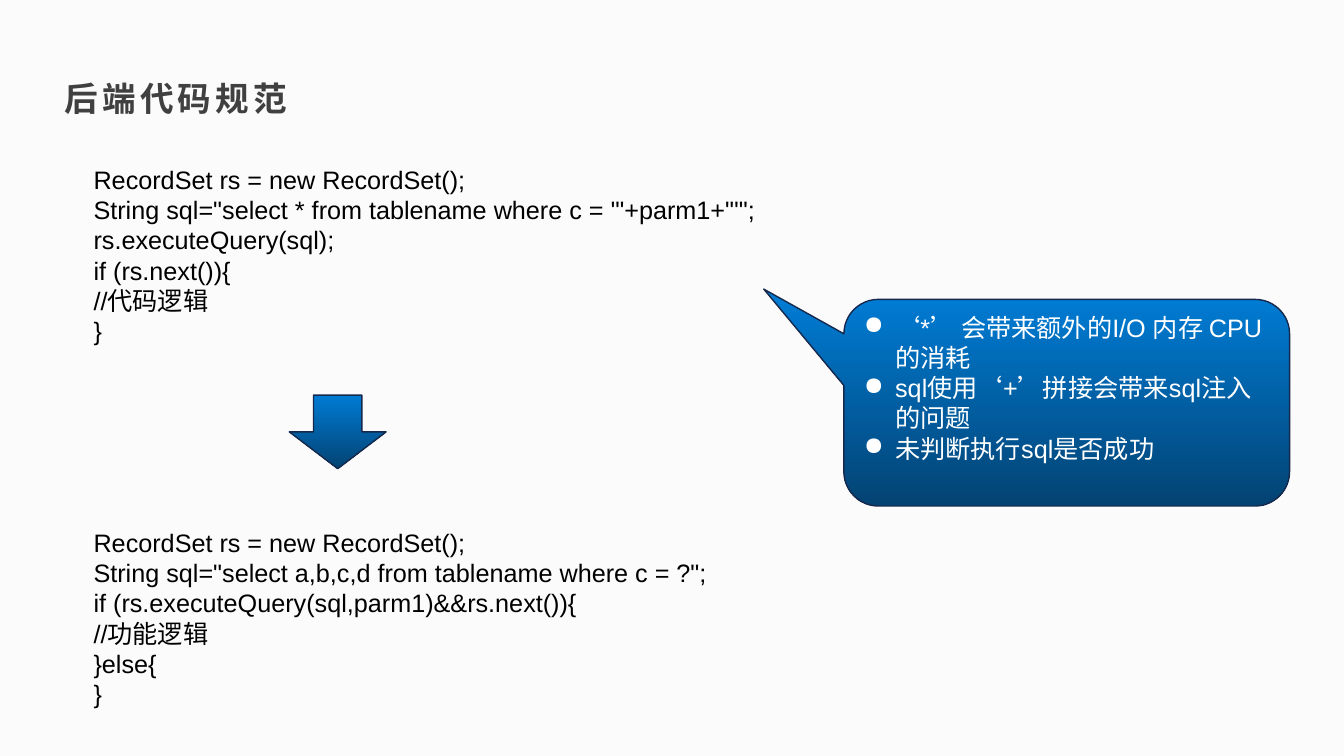
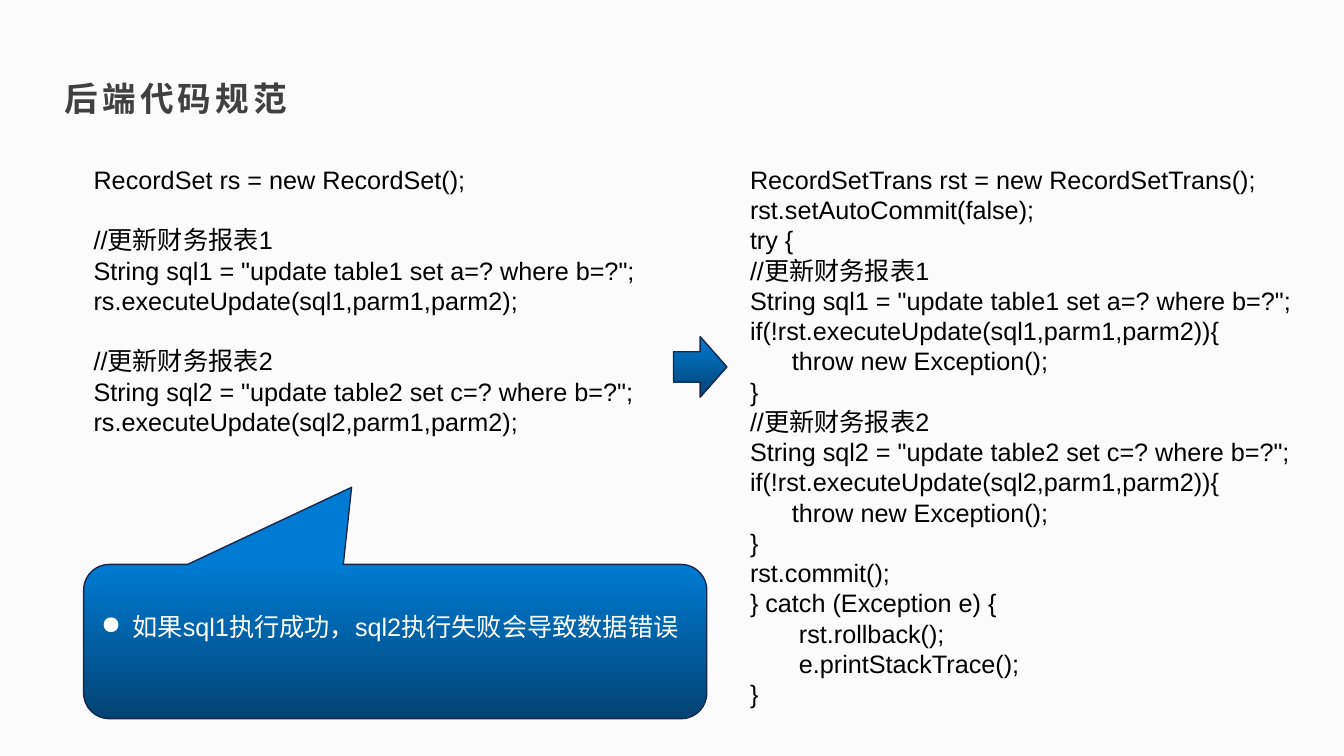
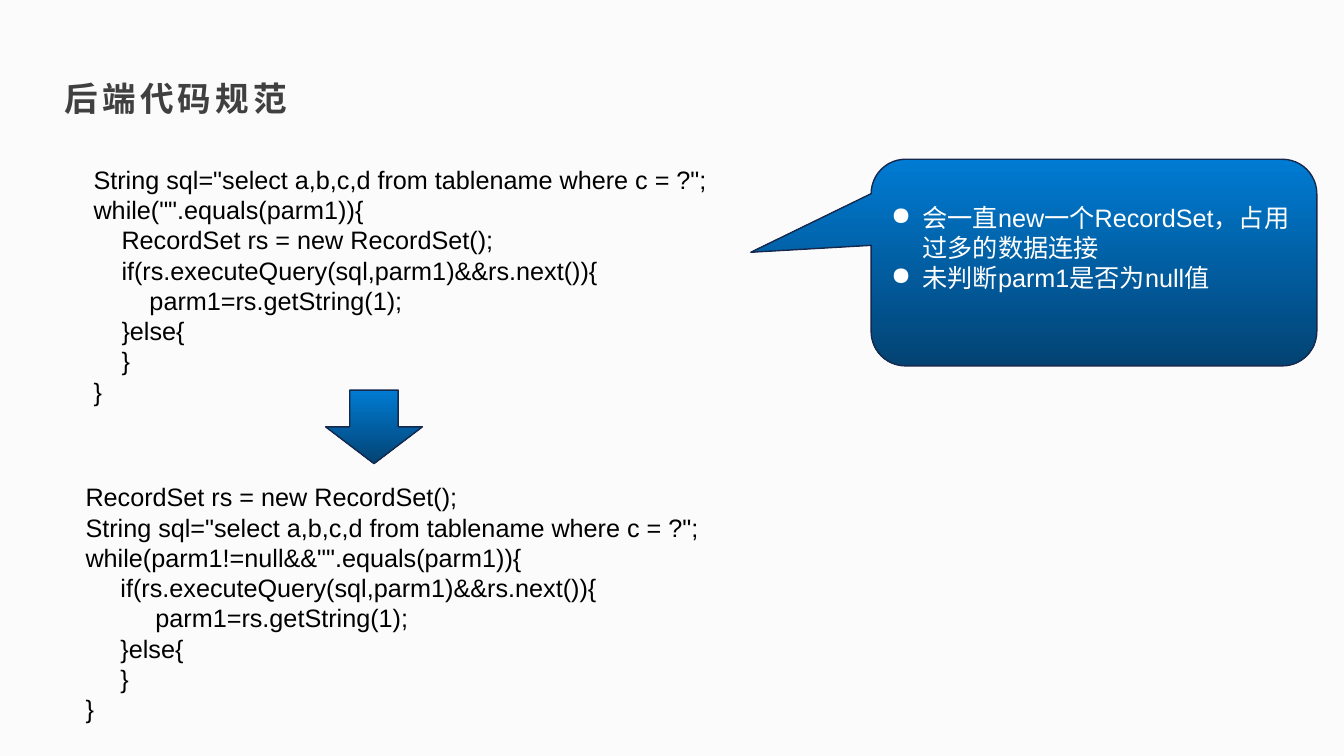
"""Build three slides on back-end coding rules."""
from lxml import etree
from pptx import Presentation
from pptx.dml.color import RGBColor
from pptx.enum.lang import MSO_LANGUAGE_ID
from pptx.enum.shapes import MSO_SHAPE
from pptx.enum.text import MSO_ANCHOR, MSO_AUTO_SIZE, PP_ALIGN
from pptx.oxml.ns import qn
from pptx.util import Inches, Pt

DOWN, RIGHT = MSO_SHAPE.DOWN_ARROW, MSO_SHAPE.RIGHT_ARROW
BUBBLE = MSO_SHAPE.ROUNDED_RECTANGULAR_CALLOUT
LEFT, MIDDLE, BOTTOM = PP_ALIGN.LEFT, MSO_ANCHOR.MIDDLE, MSO_ANCHOR.BOTTOM
FIXED, CHINESE = MSO_AUTO_SIZE.NONE, MSO_LANGUAGE_ID.SIMPLIFIED_CHINESE

FONT, SIZE, LINE = "Arial", 18, 0.3
PAPER, GREY, BLACK, WHITE = "FBFBFC", "404040", "000000", "FFFFFF"
BLUE, NAVY, EDGE = "007BD3", "034373", "16294D"
TITLE = "后端代码规范"

SLIDES = [
    {
        "code": [
            ((0.83, 1.58, 9.76, 1.92), """RecordSet rs = new RecordSet();
String sql="select * from tablename where c = '"+parm1+"'";
rs.executeQuery(sql);
if (rs.next()){
//代码逻辑
}"""),
            ((0.83, 5.18, 9.76, 1.92), """RecordSet rs = new RecordSet();
String sql="select a,b,c,d from tablename where c = ?";
if (rs.executeQuery(sql,parm1)&&rs.next()){
//功能逻辑
}else{
}"""),
        ],
        "arrow": (DOWN, (2.87, 3.92, 0.96, 0.73)),
        "bubble": ((8.37, 2.97, 4.42, 2.05), (-0.68, -0.55), [
            "‘*’ 会带来额外的I/O 内存 CPU的消耗",
            "sql使用‘+’拼接会带来sql注入的问题",
            "未判断执行sql是否成功",
        ]),
    },
    {
        "code": [
            ((0.83, 1.58, 9.76, 2.83), """RecordSet rs = new RecordSet();

//更新财务报表1
String sql1 = "update table1 set a=? where b=?";
rs.executeUpdate(sql1,parm1,parm2);

//更新财务报表2
String sql2 = "update table2 set c=? where b=?";
rs.executeUpdate(sql2,parm1,parm2);"""),
            ((7.34, 1.58, 5.79, 5.55), """RecordSetTrans rst = new RecordSetTrans();
rst.setAutoCommit(false);
try {
//更新财务报表1
String sql1 = "update table1 set a=? where b=?";
if(!rst.executeUpdate(sql1,parm1,parm2)){
      throw new Exception();
}
//更新财务报表2
String sql2 = "update table2 set c=? where b=?";
if(!rst.executeUpdate(sql2,parm1,parm2)){
      throw new Exception();
}
rst.commit();
} catch (Exception e) {
       rst.rollback();
       e.printStackTrace();
}"""),
        ],
        "arrow": (RIGHT, (6.68, 3.34, 0.53, 0.6)),
        "bubble": ((0.83, 5.6, 6.18, 1.53), (-0.07, -1), [
            "如果sql1执行成功，sql2执行失败会导致数据错误",
        ]),
    },
    {
        "code": [
            ((0.83, 1.58, 9.76, 2.52), """String sql="select a,b,c,d from tablename where c = ?";
while("".equals(parm1)){
    RecordSet rs = new RecordSet();
    if(rs.executeQuery(sql,parm1)&&rs.next()){
        parm1=rs.getString(1);
    }else{
    }
}"""),
            ((0.75, 4.73, 9.76, 2.52), """RecordSet rs = new RecordSet();
String sql="select a,b,c,d from tablename where c = ?";
while(parm1!=null&&"".equals(parm1)){
     if(rs.executeQuery(sql,parm1)&&rs.next()){
          parm1=rs.getString(1);
     }else{
     }
}"""),
        ],
        "arrow": (DOWN, (3.23, 3.87, 0.96, 0.73)),
        "bubble": ((8.64, 1.58, 4.42, 2.05), (-0.77, -0.05), [
            "会一直new一个RecordSet，占用过多的数据连接",
            "未判断parm1是否为null值",
        ]),
    },
]


def paint(tone):
    return RGBColor.from_string(tone)


def place(box):
    return [Inches(side) for side in box]


def write(para, text, tone, size=SIZE):
    run = para.add_run()
    run.text = text
    font = run.font
    font.name, font.size, font.language_id = FONT, Pt(size), CHINESE
    font.color.rgb = paint(tone)
    return run


def lines(frame, texts):
    for num, text in enumerate(texts):
        yield (frame.add_paragraph() if num else frame.paragraphs[0]), text


def add_title(slide):
    head = slide.shapes.title
    head.left, head.top, head.width, head.height = place((0.54, 0.51, 5.45, 0.71))
    frame = head.text_frame
    frame.auto_size, frame.vertical_anchor, frame.word_wrap = FIXED, BOTTOM, True
    para = frame.paragraphs[0]
    para.alignment, para.line_spacing = LEFT, 1.2
    para.space_before = para.space_after = Pt(1.5)
    run = write(para, TITLE, GREY, 24)
    run.font.bold = True
    run.font._element.set("spc", "300")


def add_code(slide, box, code):
    frame = slide.shapes.add_textbox(*place(box)).text_frame
    frame.word_wrap = True
    rows = code.split("\n")
    gaps = [num > 0 and not rows[num - 1] for num in range(len(rows))]
    kept = [pair for pair in zip(rows, gaps) if pair[0]]
    for para, (text, gap) in lines(frame, kept):
        if gap:
            para.space_before = Inches(LINE)
        write(para, text, BLACK)


def add_shape(slide, kind, box):
    shape = slide.shapes.add_shape(kind, *place(box))
    shape.shadow.inherit = False
    shape.fill.gradient()
    shape.fill.gradient_angle = 270
    for stop, tone, spot in zip(shape.fill.gradient_stops, (BLUE, NAVY), (0, 1)):
        stop.color.rgb, stop.position = paint(tone), spot
    shape.line.color.rgb, shape.line.width = paint(EDGE), Pt(1)
    return shape


def add_bubble(slide, box, tip, notes):
    shape = add_shape(slide, BUBBLE, box)
    shape.adjustments[0], shape.adjustments[1] = tip
    frame = shape.text_frame
    frame.word_wrap, frame.vertical_anchor = True, MIDDLE
    frame.margin_bottom = Inches(0.05 + LINE)
    for para, text in lines(frame, notes):
        para.alignment = LEFT
        props = para._p.get_or_add_pPr()
        props.set("marL", str(Inches(0.31)))
        props.set("indent", str(-Inches(0.31)))
        etree.SubElement(props, qn("a:buChar")).set("char", "●")
        write(para, text, WHITE)


def main():
    deck = Presentation()
    deck.slide_width, deck.slide_height = Inches(13.33), Inches(7.5)
    back = deck.slide_master.background.fill
    back.solid()
    back.fore_color.rgb = paint(PAPER)
    for page in SLIDES:
        slide = deck.slides.add_slide(deck.slide_layouts[5])
        add_title(slide)
        for box, code in page["code"]:
            add_code(slide, box, code)
        add_shape(slide, *page["arrow"])
        add_bubble(slide, *page["bubble"])
    deck.save("out.pptx")


if __name__ == "__main__":
    main()
